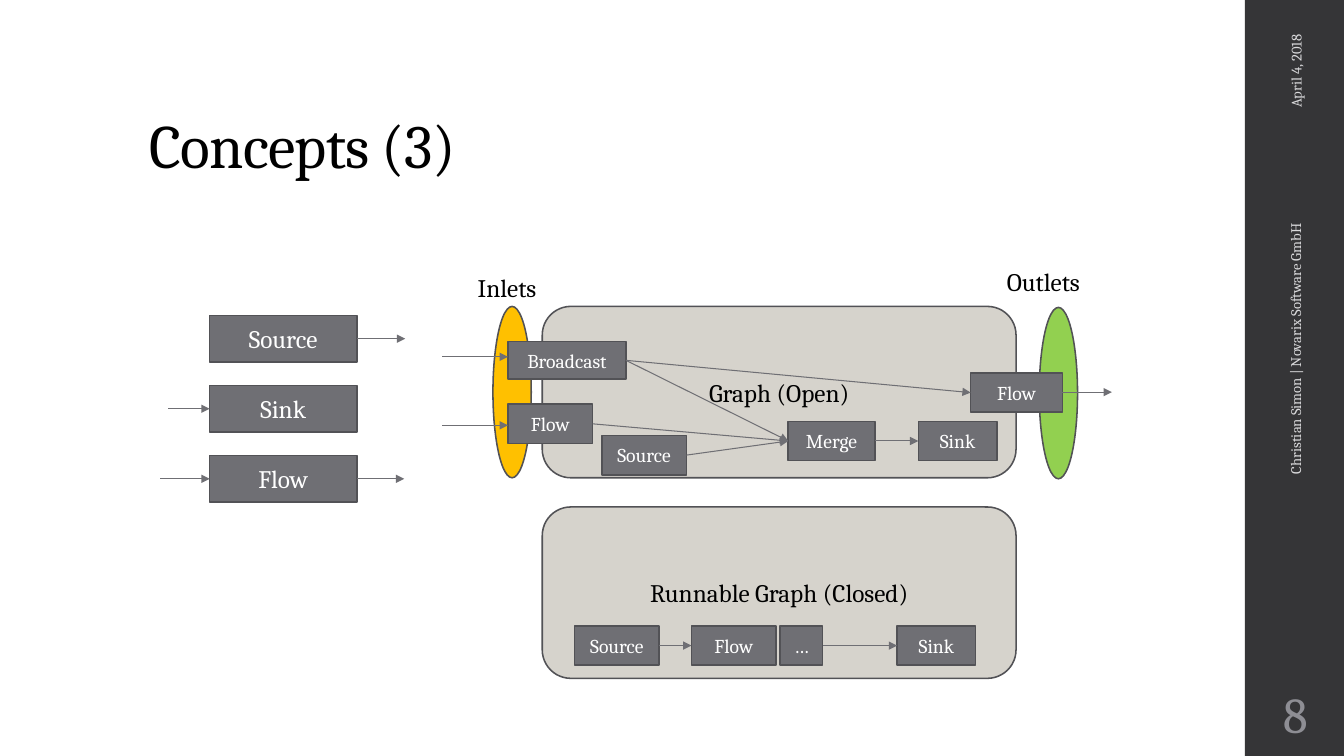
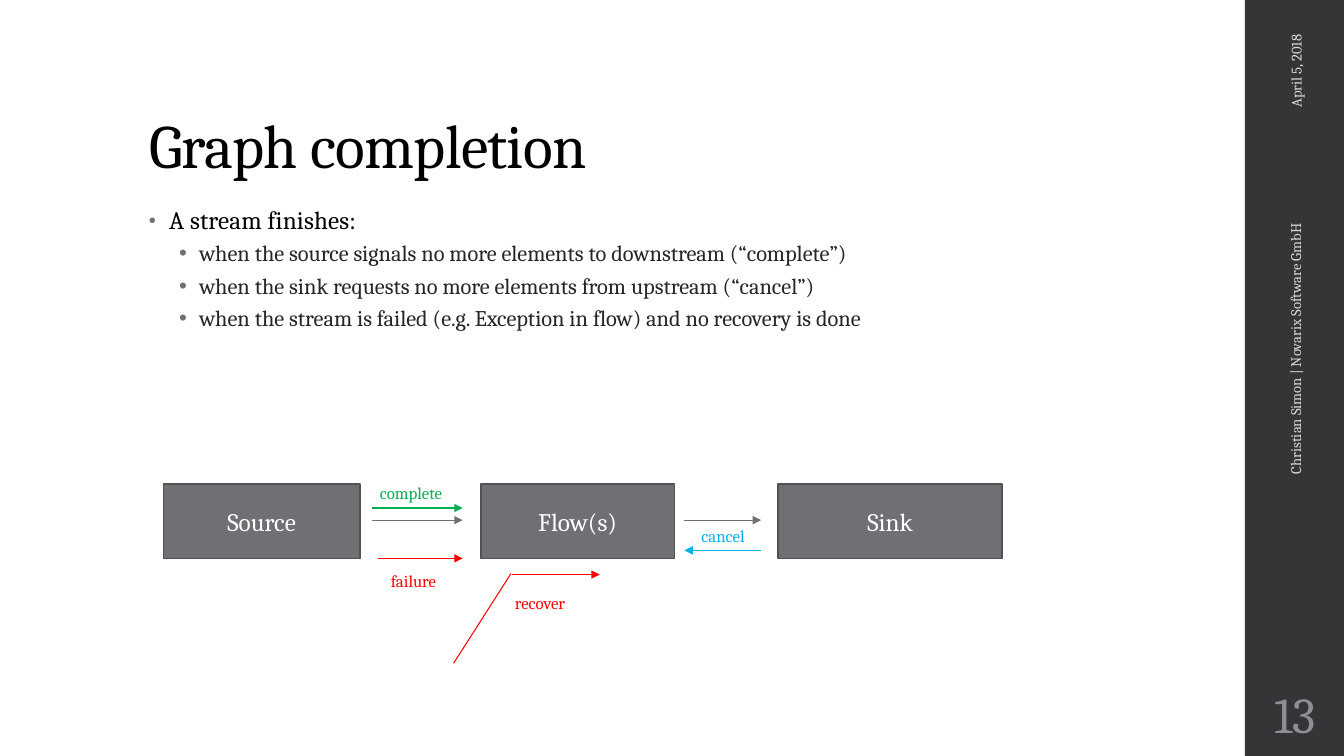
"""Build two slides on stream graphs: their building blocks and their completion."""
from lxml import etree
from pptx import Presentation
from pptx.dml.color import RGBColor
from pptx.enum.shapes import MSO_CONNECTOR, MSO_SHAPE
from pptx.enum.text import MSO_ANCHOR, MSO_AUTO_SIZE, PP_ALIGN
from pptx.oxml.ns import qn
from pptx.util import Inches, Pt

RECTANGLE, ROUNDED, OVAL = MSO_SHAPE.RECTANGLE, MSO_SHAPE.ROUNDED_RECTANGLE, MSO_SHAPE.OVAL
STRAIGHT = MSO_CONNECTOR.STRAIGHT
TOP, MIDDLE, BOTTOM = MSO_ANCHOR.TOP, MSO_ANCHOR.MIDDLE, MSO_ANCHOR.BOTTOM
LEFT, CENTER, RIGHT = PP_ALIGN.LEFT, PP_ALIGN.CENTER, PP_ALIGN.RIGHT
NO_FIT, GROW = MSO_AUTO_SIZE.NONE, MSO_AUTO_SIZE.SHAPE_TO_FIT_TEXT
LEFT_SITE, RIGHT_SITE = 1, 3

BLACK = RGBColor(0x00, 0x00, 0x00)
WHITE = RGBColor(0xFF, 0xFF, 0xFF)
CHARCOAL = RGBColor(0x35, 0x35, 0x37)
BODY = RGBColor(0x26, 0x26, 0x26)
GRAY = RGBColor(0x6F, 0x6F, 0x74)
OUTLINE = RGBColor(0x52, 0x52, 0x56)
FOOTER = RGBColor(0xD9, 0xD9, 0xDB)
NUMBER = RGBColor(0x8E, 0x8E, 0x94)
SAND = RGBColor(0xD6, 0xD3, 0xCC)
LIME = RGBColor(0x92, 0xD0, 0x50)
AMBER = RGBColor(0xFF, 0xC0, 0x00)
GREEN = RGBColor(0x00, 0xB0, 0x50)
BLUE = RGBColor(0x00, 0xB0, 0xF0)
RED = RGBColor(0xFF, 0x00, 0x00)

FONT = "Cambria"
CELL = Inches(0.1)
COLUMNS, ROWS = 133.33, 75
AUTHOR = "Christian Simon | Novarix Software GmbH"
BULLETS = (
    {"indent": 0.2, "percent": 80, "size": 18, "color": BLACK, "tracking": 10,
     "spacing": {"line_spacing": 0.95, "space_before": Pt(14), "space_after": Pt(2)}},
    {"indent": 0.5, "percent": 100, "size": 16, "color": BODY, "tracking": 0,
     "spacing": {"line_spacing": 0.9, "space_before": Pt(3), "space_after": Pt(3), "level": 1}},
)


def grid(*cells):
    """Turn grid columns and rows into lengths."""
    return [round(cell * CELL) for cell in cells]


def apply(target, values):
    """Set every attribute named in a dict of format values."""
    for name, value in values.items():
        setattr(target, name, value)


class Deck:
    """Hold the shared style and the current slide."""

    def __init__(self):
        """Start a wide presentation."""
        self.presentation = Presentation()
        width, height = grid(COLUMNS, ROWS)
        apply(self.presentation, {"slide_width": width, "slide_height": height})
        self.slide = None

    def start(self, title, date, number):
        """Add a slide with its title, side band and footers."""
        self.slide = self.presentation.slides.add_slide(self.presentation.slide_layouts[5])
        self.block((123.5, 0, 10, ROWS), fill=CHARCOAL, outline=None)
        shape = self.slide.shapes.title
        left, top, width, height = grid(13.8, 4, 106, 14.5)
        apply(shape, {"left": left, "top": top, "width": width, "height": height})
        self.fill_text(shape, title, 44, BLACK, align=LEFT, anchor=BOTTOM, tracking=-50)
        shape.text_frame.paragraphs[0].line_spacing = 0.9
        for text, box in ((date, (121.4, 7.6, 14.3, 4)), (AUTHOR, (106.2, 41.5, 44.6, 4))):
            self.text(box, text, 10.5, FOOTER, align=RIGHT, anchor=MIDDLE).rotation = 270
        page = self.text((123.5, 67.5, 10, 6.5), number, 36, NUMBER, align=CENTER, anchor=MIDDLE)
        apply(page.text_frame, {"margin_left": Inches(0.05), "margin_right": Inches(0.05)})

    def style_run(self, paragraph, text, size, color, tracking=0):
        """Add a run of text in the shared font."""
        run = paragraph.add_run()
        run.text = text
        apply(run.font, {"name": FONT, "size": Pt(size)})
        run.font.color.rgb = color
        if tracking:
            run._r.get_or_add_rPr().set("spc", str(tracking))

    def fill_text(self, shape, text, size, color, align=CENTER, anchor=MIDDLE, tracking=0):
        """Put one styled paragraph into a shape."""
        frame = shape.text_frame
        apply(frame, {"word_wrap": True, "auto_size": NO_FIT, "vertical_anchor": anchor})
        paragraph = frame.paragraphs[0]
        paragraph.alignment = align
        self.style_run(paragraph, text, size, color, tracking)

    def text(self, box, text, size, color, align=LEFT, anchor=TOP):
        """Add a text box."""
        shape = self.slide.shapes.add_textbox(*grid(*box))
        self.fill_text(shape, text, size, color, align, anchor)
        return shape

    def label(self, box, text, size, color):
        """Add a one-line text box that grows with its text."""
        shape = self.text(box, text, size, color)
        apply(shape.text_frame, {"word_wrap": False, "auto_size": GROW})

    def block(self, box, text="", size=18, kind=RECTANGLE, fill=GRAY, color=WHITE, outline=OUTLINE):
        """Add a filled shape, with centred text if there is any."""
        shape = self.slide.shapes.add_shape(kind, *grid(*box))
        shape.shadow.inherit = False
        shape.fill.solid()
        shape.fill.fore_color.rgb = fill
        if outline is None:
            shape.line.fill.background()
        else:
            shape.line.color.rgb = outline
            shape.line.width = Pt(1.1)
        if text:
            self.fill_text(shape, text, size, color)
        return shape

    def line(self, start, end, color=GRAY, arrow=True):
        """Draw a straight line between points."""
        connector = self.slide.shapes.add_connector(STRAIGHT, *grid(*start, *end))
        connector.line.color.rgb = color
        connector.line.width = Pt(0.75)
        if arrow:
            outline = connector.line._get_or_add_ln()
            etree.SubElement(outline, qn("a:tailEnd"), type="triangle")
        etree.SubElement(connector._element.spPr, qn("a:effectLst"))
        return connector

    def link(self, source, target):
        """Connect the right side of one block to the left side of another."""
        connector = self.line((0, 0), (1, 1))
        connector.begin_connect(source, RIGHT_SITE)
        connector.end_connect(target, LEFT_SITE)

    def bullets(self, box, items):
        """Add a bulleted list of level and text pairs."""
        frame = self.slide.shapes.add_textbox(*grid(*box)).text_frame
        frame.word_wrap = True
        for index, (level, text) in enumerate(items):
            style = BULLETS[level]
            paragraph = frame.add_paragraph() if index else frame.paragraphs[0]
            apply(paragraph, style["spacing"])
            properties = paragraph._p.get_or_add_pPr()
            properties.set("marL", str(Inches(style["indent"])))
            properties.set("indent", str(Inches(-0.2)))
            bullet_color = etree.SubElement(properties, qn("a:buClr"))
            etree.SubElement(bullet_color, qn("a:srgbClr"), val=str(GRAY))
            etree.SubElement(properties, qn("a:buSzPct"), val=str(style["percent"] * 1000))
            etree.SubElement(properties, qn("a:buFont"), typeface="Arial")
            etree.SubElement(properties, qn("a:buChar"), char="•")
            self.style_run(paragraph, text, style["size"], style["color"], style["tracking"])


def concepts(deck):
    """Show the building blocks, an open graph and a closed graph."""
    deck.start("Concepts (3)", "April 4, 2018", "8")
    for left, top, fill in ((103.1, 30.5, LIME), (48.9, 30.4, AMBER)):
        deck.block((left, top, 3.8, 17), kind=OVAL, fill=fill)

    legend = (("Source", None, 40.2), ("Sink", 16.7, None), ("Flow", 15.9, 40.1))
    for index, (name, inlet, outlet) in enumerate(legend):
        top = 31.3 + 6.95 * index
        deck.block((20.8, top, 14.6, 4.6), name)
        middle = top + 2.3
        if inlet:
            deck.line((inlet, middle), (20.8, middle))
        if outlet:
            deck.line((35.4, middle), (outlet, middle))

    for name, top in (("Graph (Open)", 30.4), ("Runnable Graph (Closed)", 50.3)):
        deck.block((53.8, top, 47, 17), name, kind=ROUNDED, fill=SAND, color=BLACK)

    def node(name, left, top, width=8.4, height=3.9):
        """Add a small block of a graph."""
        return deck.block((left, top, width, height), name, 14)

    inner_flow = node("Flow", 50.4, 40.1)
    outer_flow = node("Flow", 96.3, 37, 9.1)
    merge = node("Merge", 78.2, 41.8, 8.6)
    broadcast = node("Broadcast", 50.4, 33.9, 11.7, 3.7)
    open_sink = node("Sink", 91.1, 41.8, 7.8)
    open_source = node("Source", 59.7, 43.2)
    closed_source = node("Source", 57, 62.1)
    closed_flow = node("Flow", 68.6, 62.1)
    more = node("…", 77.4, 62.1, 4.2)
    closed_sink = node("Sink", 89, 62.1, 7.8)

    for source, target in (
        (broadcast, outer_flow), (broadcast, merge), (inner_flow, merge), (open_source, merge),
        (merge, open_sink), (closed_source, closed_flow), (more, closed_sink),
    ):
        deck.link(source, target)
    for left, right, height in ((43.9, 50.4, 35.4), (43.9, 50.4, 42.2), (105.4, 110.3, 38.9)):
        deck.line((left, height), (right, height))

    deck.label((46.4, 26.5, 8.8, 4), "Inlets", 18, BLACK)
    deck.label((98.9, 25.9, 10.7, 4), "Outlets", 18, BLACK)


def completion(deck):
    """Show the signals that finish a stream."""
    deck.start("Graph completion", "April 5, 2018", "13")
    deck.bullets((13.8, 20, 94, 47.6), (
        (0, "A stream finishes:"),
        (1, "when the source signals no more elements to downstream (“complete”)"),
        (1, "when the sink requests no more elements from upstream (“cancel”)"),
        (1, "when the stream is failed (e.g. Exception in flow) and no recovery is done"),
    ))
    for name, left, width in (("Source", 16.2, 19.5), ("Flow(s)", 47.7, 19.2), ("Sink", 77.2, 22.2)):
        deck.block((left, 48, width, 7.4), name)
    for start, end, height, color in (
        (36.9, 45.9, 50.4, GREEN), (36.9, 45.9, 51.6, GRAY), (37.5, 45.9, 55.4, RED),
        (67.9, 75.5, 51.6, GRAY), (75.5, 67.9, 54.6, BLUE), (50.8, 59.5, 57, RED),
    ):
        deck.line((start, height), (end, height), color)
    deck.line((45, 65.8), (50.7, 56.9), RED, arrow=False)
    for name, left, top, width, color in (
        ("complete", 36.7, 47.4, 8.9, GREEN), ("cancel", 68.6, 51.7, 6.9, BLUE),
        ("failure", 37.8, 56.1, 7.2, RED), ("recover", 50.1, 58.3, 7.7, RED),
    ):
        deck.label((left, top, width, 3), name, 12, color)


def main():
    """Build and save the presentation."""
    deck = Deck()
    concepts(deck)
    completion(deck)
    deck.presentation.save("out.pptx")


if __name__ == "__main__":
    main()
